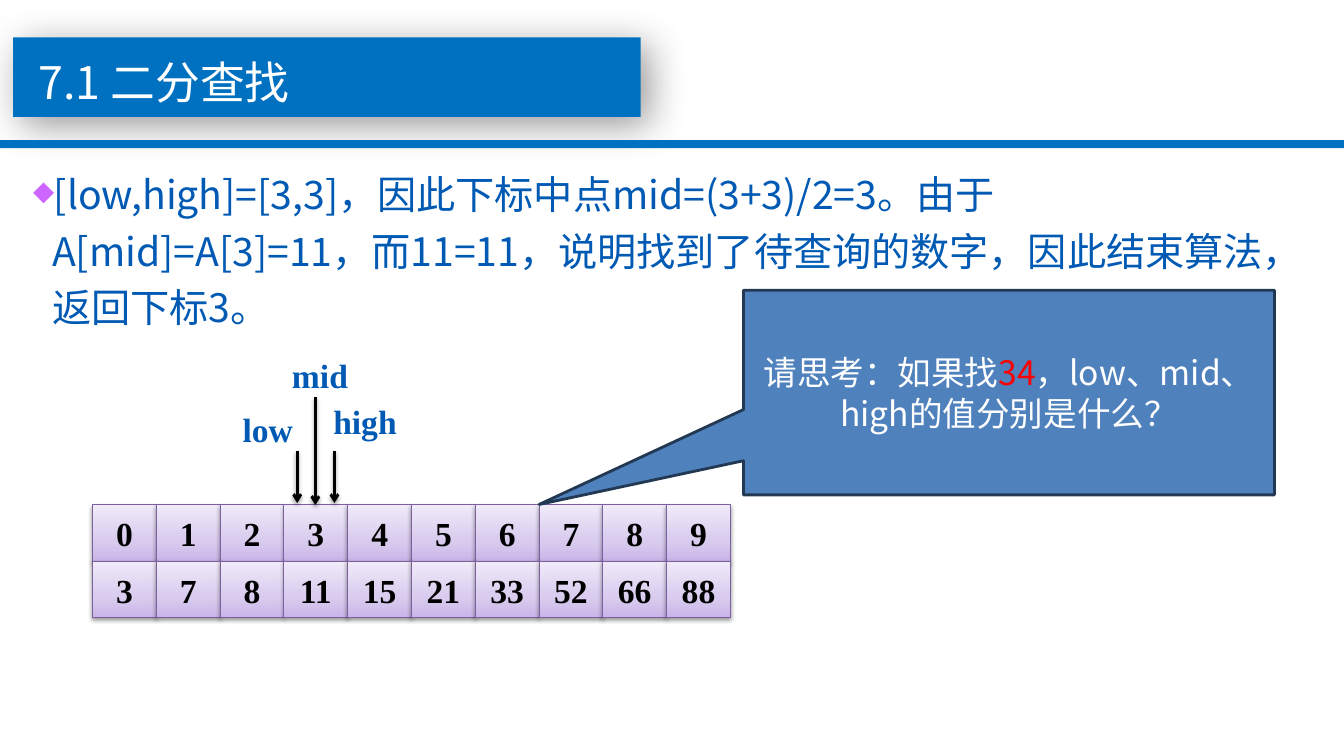
from copy import deepcopy

from pptx import Presentation
from pptx.dml.color import RGBColor
from pptx.enum.shapes import MSO_CONNECTOR, MSO_SHAPE
from pptx.enum.text import MSO_ANCHOR, MSO_AUTO_SIZE, PP_ALIGN
from pptx.oxml.ns import qn
from pptx.oxml.xmlchemy import OxmlElement
from pptx.util import Inches, Pt

RECTANGLE = MSO_SHAPE.RECTANGLE
CALLOUT = MSO_SHAPE.RECTANGULAR_CALLOUT
STRAIGHT = MSO_CONNECTOR.STRAIGHT
TOP, MIDDLE = MSO_ANCHOR.TOP, MSO_ANCHOR.MIDDLE
NO_AUTOFIT = MSO_AUTO_SIZE.NONE
LEFT, CENTER = PP_ALIGN.LEFT, PP_ALIGN.CENTER

BLACK = RGBColor(0x00, 0x00, 0x00)
WHITE = RGBColor(0xFF, 0xFF, 0xFF)
RED = RGBColor(0xFF, 0x00, 0x00)
BANNER_BLUE = RGBColor(0x00, 0x70, 0xC0)
TEXT_BLUE = RGBColor(0x00, 0x5A, 0xB4)
CALLOUT_BLUE = RGBColor(0x4F, 0x81, 0xBD)
CALLOUT_LINE = RGBColor(0x23, 0x39, 0x53)
CELL_LINE = RGBColor(0x7D, 0x60, 0xA0)
BULLET_PURPLE = RGBColor(0xCC, 0x66, 0xFF)
CELL_GRADIENT = [
    (0, RGBColor(0xC9, 0xB5, 0xE8)),
    (0.35, RGBColor(0xD8, 0xCB, 0xEE)),
    (1, RGBColor(0xF0, 0xEA, 0xF9)),
]
CHINESE_FONT = "Noto Sans CJK SC"
NUMBER_FONT = "Times New Roman"
BANNER_SHADOW = (40, 28, 8, 45)
SOFT_SHADOW = (38, 3.1, 1.6, 90)


def add_element(parent, tag, **attributes):
    element = OxmlElement(tag)
    for name, value in attributes.items():
        element.set(name, str(value))
    parent.append(element)
    return element


class SlideBuilder:
    def __init__(self, presentation):
        self.slide = presentation.slides.add_slide(presentation.slide_layouts[5])
        self.shapes = self.slide.shapes

    def format_runs(self, paragraph, font_name, size, color, bold=False):
        for run in paragraph.runs:
            run.font.name = font_name
            run.font.size = Pt(size)
            run.font.bold = bold
            run.font.color.rgb = color
            add_element(run.font._element, "a:ea", typeface=font_name)

    def add_shadow(self, effects, opacity, blur, distance, angle):
        shadow = add_element(effects, "a:outerShdw", blurRad=Pt(blur), dist=Pt(distance),
                             dir=angle * 60000, algn="ctr", rotWithShape=0)
        color = add_element(shadow, "a:srgbClr", val=BLACK)
        add_element(color, "a:alpha", val=opacity * 1000)

    def block(self, kind, left, top, width, height, fill=None, line=None,
              line_width=1, shadow=None):
        shape = self.shapes.add_shape(kind, left, top, width, height)
        shape.shadow.inherit = False
        if fill:
            shape.fill.solid()
            shape.fill.fore_color.rgb = fill
        if line:
            shape.line.color.rgb = line
            shape.line.width = Pt(line_width)
        else:
            shape.line.fill.background()
        if shadow:
            self.add_shadow(shape.element.spPr.find(qn("a:effectLst")), *shadow)
        return shape

    def title(self, text, left, top, width, height):
        title = self.shapes.title
        self.shapes.element.append(title.element)
        title.left, title.top, title.width, title.height = left, top, width, height
        frame = title.text_frame
        frame.text = text
        frame.auto_size = NO_AUTOFIT
        frame.vertical_anchor = TOP
        paragraph = frame.paragraphs[0]
        paragraph.alignment = LEFT
        paragraph.line_spacing = 1.4
        paragraph.space_before = Pt(0)
        self.format_runs(paragraph, CHINESE_FONT, 32, WHITE)

    def text(self, text, left, top, width, height, wrap=False):
        frame = self.shapes.add_textbox(left, top, width, height).text_frame
        frame.word_wrap = wrap
        frame.text = text
        return frame.paragraphs[0]

    def bullet(self, text, left, top, width, height):
        paragraph = self.text(text, left, top, width, height, wrap=True)
        properties = paragraph._p.get_or_add_pPr()
        properties.set("marL", str(Inches(0.19)))
        properties.set("indent", str(Inches(-0.5)))
        add_element(add_element(properties, "a:buClr"), "a:srgbClr", val=BULLET_PURPLE)
        add_element(properties, "a:buSzPct", val=70000)
        add_element(properties, "a:buChar", char="◆")
        paragraph.line_spacing = 1.2
        self.format_runs(paragraph, CHINESE_FONT, 28, TEXT_BLUE)

    def label(self, text, left, top, width):
        paragraph = self.text(text, left, top, width, Inches(0.5))
        self.format_runs(paragraph, NUMBER_FONT, 24, TEXT_BLUE, bold=True)

    def arrow(self, x, top, bottom):
        connector = self.shapes.add_connector(STRAIGHT, x, top, x, bottom)
        connector.line.color.rgb = BLACK
        connector.line.width = Pt(2)
        properties = connector.element.spPr
        add_element(properties.find(qn("a:ln")), "a:tailEnd", type="arrow")
        self.add_shadow(add_element(properties, "a:effectLst"), *SOFT_SHADOW)

    def cell(self, value, left, top, width, height):
        shape = self.block(RECTANGLE, left, top, width, height, line=CELL_LINE,
                           line_width=0.75, shadow=SOFT_SHADOW)
        shape.fill.gradient()
        shape.fill.gradient_angle = 90
        stop_list = shape.element.spPr.find(qn("a:gradFill")).find(qn("a:gsLst"))
        stop_list.insert(1, deepcopy(stop_list[0]))
        for stop, (position, color) in zip(shape.fill.gradient_stops, CELL_GRADIENT):
            stop.position = position
            stop.color.rgb = color
        frame = shape.text_frame
        frame.text = str(value)
        frame.vertical_anchor = MIDDLE
        frame.paragraphs[0].alignment = CENTER
        self.format_runs(frame.paragraphs[0], NUMBER_FONT, 24, BLACK, bold=True)

    def callout(self, parts, highlight, left, top, width, height):
        shape = self.block(CALLOUT, left, top, width, height, CALLOUT_BLUE, CALLOUT_LINE, 2)
        shape.adjustments[0], shape.adjustments[1] = -0.885, 0.547
        frame = shape.text_frame
        frame.word_wrap = True
        frame.vertical_anchor = MIDDLE
        paragraph = frame.paragraphs[0]
        paragraph.alignment = CENTER
        for part in parts:
            paragraph.add_run().text = part
        self.format_runs(paragraph, CHINESE_FONT, 24, WHITE)
        paragraph.runs[highlight].font.color.rgb = RED


def main():
    presentation = Presentation()
    presentation.slide_width = Inches(13.34)
    presentation.slide_height = Inches(7.5)
    builder = SlideBuilder(presentation)

    builder.block(RECTANGLE, Inches(0.13), Inches(0.37), Inches(6.23), Inches(0.79),
                  BANNER_BLUE, shadow=BANNER_SHADOW)
    builder.block(RECTANGLE, 0, Inches(1.39), presentation.slide_width, Inches(0.08),
                  BANNER_BLUE)
    builder.title("7.1 二分查找", Inches(0.28), Inches(0.28), Inches(5.51), Inches(0.77))
    builder.bullet("[low,high]=[3,3]，因此下标中点mid=(3+3)/2=3。由于A[mid]=A[3]=11，"
                   "而11=11，说明找到了待查询的数字，因此结束算法，返回下标3。",
                   Inches(0.23), Inches(1.55), Inches(12.74), Inches(1.75))

    indexes = range(10)
    numbers = [3, 7, 8, 11, 15, 21, 33, 52, 66, 88]
    cell_width, cell_height = Inches(6.33) // 10, Inches(0.56)
    for row, values in enumerate([indexes, numbers]):
        for column, value in enumerate(values):
            builder.cell(value, Inches(0.92) + column * cell_width,
                         Inches(5.01) + row * cell_height, cell_width, cell_height)

    pointers = [
        ("low", 2.31, 4.01, 0.81, 2.95, 4.47, 4.99),
        ("mid", 2.8, 3.47, 0.76, 3.13, 3.94, 5.01),
        ("high", 3.21, 3.93, 0.84, 3.32, 4.47, 4.99),
    ]
    for name, left, top, width, arrow_x, arrow_top, arrow_bottom in pointers:
        builder.label(name, Inches(left), Inches(top), Inches(width))
        builder.arrow(Inches(arrow_x), Inches(arrow_top), Inches(arrow_bottom))

    builder.callout(["请思考：如果找", "34", "，low、mid、high的值分别是什么？"], 1,
                    Inches(7.38), Inches(2.88), Inches(5.27), Inches(2.03))
    presentation.save("out.pptx")


if __name__ == "__main__":
    main()
